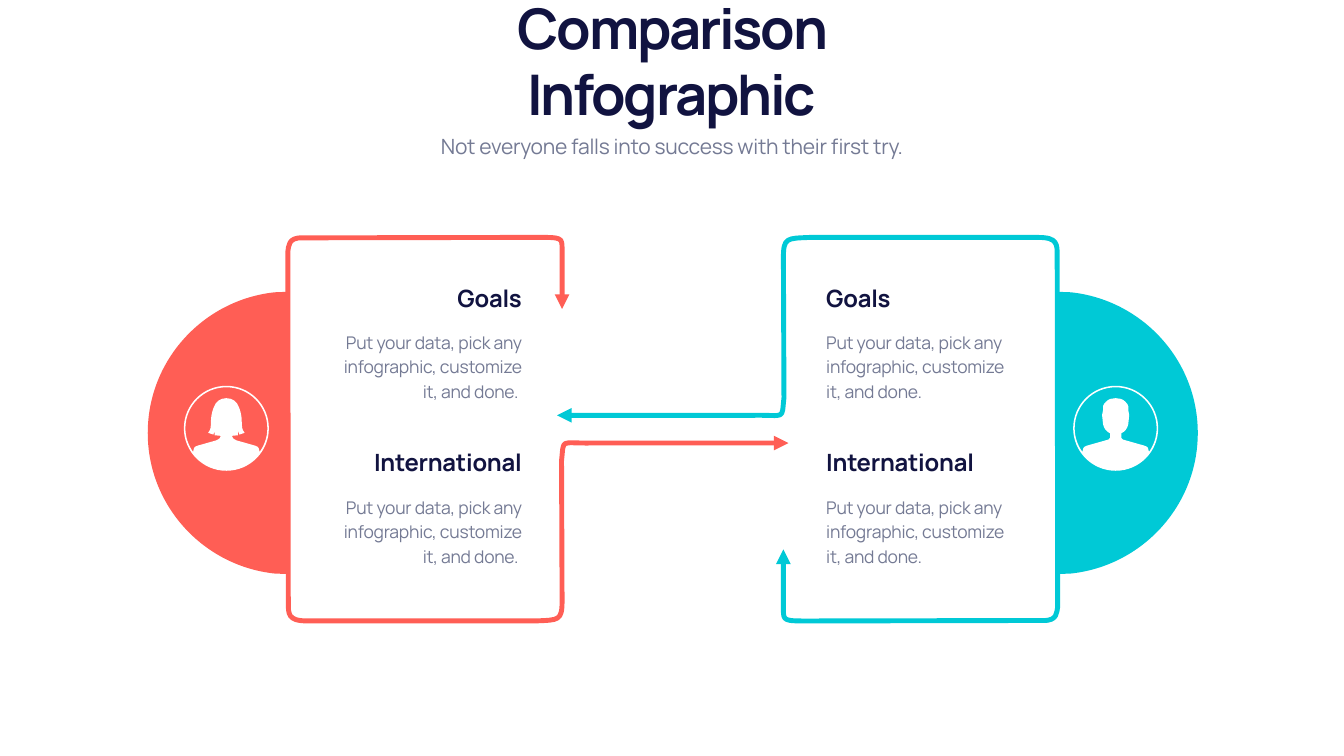
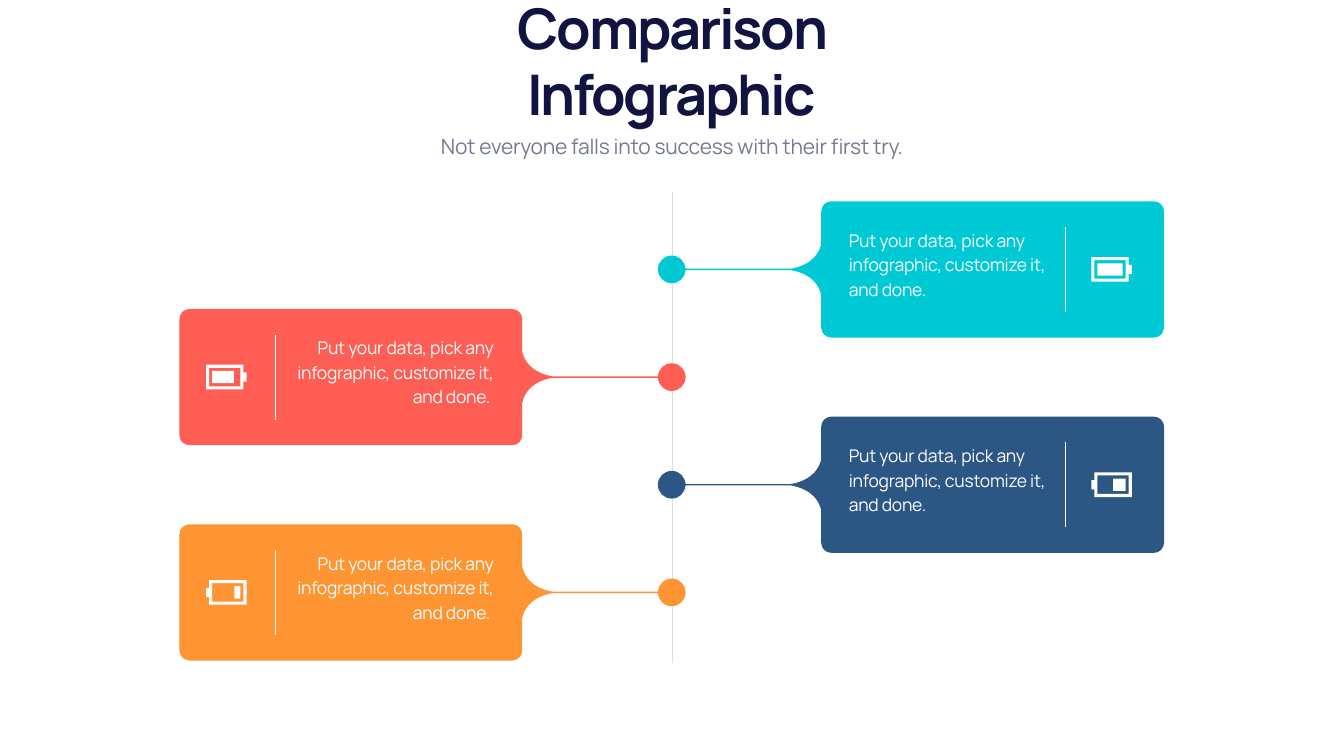
from pptx import Presentation
from pptx.dml.color import RGBColor
from pptx.enum import shapes, text
from pptx.oxml.ns import qn
from pptx.util import Pt
from lxml import etree

NAVY = RGBColor(0x11, 0x13, 0x40)
GREY = RGBColor(0x74, 0x7A, 0x94)
PALE = RGBColor(0xDC, 0xDF, 0xE1)
WHITE = RGBColor(0xFF, 0xFF, 0xFF)
CORAL = RGBColor(0xFF, 0x5E, 0x55)
TEAL = RGBColor(0x00, 0xC9, 0xD6)
BLUE = RGBColor(0x2C, 0x56, 0x83)
ORANGE = RGBColor(0xFF, 0x94, 0x33)

FONT = "Manrope"
LEFT, CENTER, RIGHT = text.PP_ALIGN.LEFT, text.PP_ALIGN.CENTER, text.PP_ALIGN.RIGHT
BLURB = "Put your data, pick any infographic, customize it, and done. "

SIDES_SUM = 1921.7
BRACKET_SUM = 1226.2
CARDS_SUM = 1918.8
SPINE_X = 959.6
FIRST_ROW, ROW_STEP = 384.9, 153.8

BRACKET = [
    (802.8, 441.4), (802.8, 356.4), (802.8, 339.1, 802.8, 339.1, 766, 339.1),
    (432, 339.8), (411.1, 339.1, 412.6, 352, 411.1, 359.3),
    (411.8, 860.4), (411.8, 877, 411.1, 887, 438.5, 887),
    (765.4, 887), (797.8, 885.6, 802.8, 887, 802.8, 858.2),
    (802, 658), (805.7, 625.7, 799.2, 633.6, 843.8, 632.9), (1126.1, 632.9),
]
HALF_DISC = [
    (411.1, 416.9), (411.1, 820.1), (392.4, 819.4),
    (290.9, 808.6, 211, 722.9, 211, 618.5),
    (211, 514.1, 290.9, 428.4, 392.4, 417.6),
]
RING = [
    (0, -60.7), (33.5, -60.7, 60.7, -33.5, 60.7, 0), (60.7, 33.5, 33.5, 60.7, 0, 60.7),
]
RING_INSIDE = [
    (0, -58.5), (32.3, -58.5, 58.5, -32.3, 58.5, 0), (58.5, 12.6, 54.4, 24.3, 47.5, 33.8),
    (46.8, 29, 46.8, 26.6, 41, 24.8), (14.4, 17.3),
]
WOMAN = RING_INSIDE + [
    (9.4, 15, 8, 13, 8, 10.8), (16.6, 10), (16.6, 4), (18.7, 9), (26, 6.5),
    (18, -4, 26, -9, 18, -30), (15, -38, 9, -43, 0, -43),
]
MAN = RING_INSIDE + [
    (11, 16.6, 8.6, 15.8, 8, 13.7), (8, 7.2), (13, 5, 17, 0, 18, -5.8),
    (19.4, -19), (18, -25.9), (18.7, -29, 18.7, -34, 13.7, -38),
    (10, -42, 5, -43, 0, -43),
]
CARD_TOP = [
    (939.6, 0), (939.6, -11, 948.5, -19.8, 959.4, -19.8),
    (970, -19.8, 978, -12, 979.2, -1), (1129.7, -1),
    (1162, -6.8, 1171, -26, 1172.9, -37), (1172.9, -82.9),
    (1172.9, -90.8, 1179.4, -97.3, 1187.3, -97.3), (1648.1, -97.3),
    (1656, -97.3, 1662.5, -90.8, 1662.5, -82.9), (1662.5, 0),
]
BATTERY_CASE = [
    (0, -17.6), (53.3, -17.6), (53.3, -6.6), (57.6, -6.6),
    (57.6, 6.6), (53.3, 6.6), (53.3, 17.6), (0, 17.6),
]


def pairs(step):
    return list(zip(step[::2], step[1::2]))


def remap(steps, move):
    return [sum((move(x, y) for x, y in pairs(step)), ()) for step in steps]


def mirror(steps, x_sum=None, y_sum=None):
    return remap(steps, lambda x, y: (x if x_sum is None else x_sum - x,
                                      y if y_sum is None else y_sum - y))


def shift(steps, dx, dy):
    return remap(steps, lambda x, y: (x + dx, y + dy))


def with_reflection(steps, **axis):
    back = []
    for before, step in zip(steps[-2::-1], steps[:0:-1]):
        inner = pairs(step)[-2::-1]
        back.append(sum(inner, ()) + before[-2:])
    return steps + mirror(back, **axis)


def box(left, right, half_height):
    return [(left, -half_height), (right, -half_height),
            (right, half_height), (left, half_height)]


def bend(outline, contours):
    segments = iter(list(outline._element.iter(qn("a:lnTo"))))
    for contour in contours:
        for step in contour[1:]:
            first = next(segments)
            if len(step) == 6:
                first.tag = qn("a:cubicBezTo")
                for _ in range(2):
                    following = next(segments)
                    first.append(following[0])
                    following.getparent().remove(following)


def draw_outline(slide, contours, closed=True):
    builder = None
    for contour in contours:
        points = [(Pt(x), Pt(y)) for step in contour for x, y in pairs(step)]
        if builder is None:
            builder = slide.shapes.build_freeform(*points[0], scale=1.0)
        else:
            builder.move_to(*points[0])
        builder.add_line_segments(points[1:], close=closed)
    outline = builder.convert_to_shape()
    outline.shadow.inherit = False
    bend(outline, contours)
    return outline


def draw_area(slide, contours, color):
    area = draw_outline(slide, contours)
    area.fill.solid()
    area.fill.fore_color.rgb = color
    area.line.fill.background()


def draw_arrow_path(slide, steps, color):
    arrow = draw_outline(slide, [steps], closed=False)
    arrow.fill.background()
    arrow.line.color.rgb = color
    arrow.line.width = Pt(7)
    ln = arrow.line._get_or_add_ln()
    for end in ("a:headEnd", "a:tailEnd"):
        etree.SubElement(ln, qn(end), type="triangle")


def style_text(frame, wording, size, color, leading, align, bold=False, tracking=-0.3):
    frame.text = wording
    paragraph = frame.paragraphs[0]
    paragraph.alignment = align
    paragraph.line_spacing = Pt(leading)
    paragraph.space_before = Pt(0)
    for run in paragraph.runs:
        run.font.name = FONT
        run.font.size = Pt(size)
        run.font.bold = bold
        run.font.color.rgb = color
        run._r.get_or_add_rPr().set("spc", str(round(tracking * 100)))


def add_text(slide, left, top, width, height, wording, size, color, leading, align,
             bold=False, wrap=True):
    frame = slide.shapes.add_textbox(Pt(left), Pt(top), Pt(width), Pt(height)).text_frame
    frame.word_wrap = wrap
    frame.auto_size = text.MSO_AUTO_SIZE.SHAPE_TO_FIT_TEXT
    style_text(frame, wording, size, color, leading, align, bold)


def add_heading(slide):
    title = slide.shapes.title
    title.left, title.top, title.width, title.height = Pt(522.7), Pt(82), Pt(873.4), Pt(102.2)
    frame = title.text_frame
    frame.word_wrap = True
    frame.auto_size = text.MSO_AUTO_SIZE.NONE
    frame.vertical_anchor = text.MSO_ANCHOR.BOTTOM
    style_text(frame, "Comparison Infographic", 80, NAVY, 94, CENTER, True, -3.3)
    add_text(slide, 610.6, 181.6, 698.4, 46.1,
             " Not everyone falls into success with their first try. ",
             30, GREY, 42, CENTER, wrap=False)


def add_avatar(slide, x, y, inside):
    contours = [shift(with_reflection(half, x_sum=0), x, y) for half in (inside, RING)]
    draw_area(slide, contours, WHITE)


def add_goals(slide, left, align):
    for heading, top, blurb_top in (("Goals", 407.5, 465.1), ("International", 642.2, 701.3)):
        add_text(slide, left, top, 283.7, 42.5, heading, 34, NAVY, 35, align, bold=True)
        add_text(slide, left, blurb_top, 283.7, 110.2, BLURB, 25, GREY, 35, align)


def add_battery(slide, x, y, level, flipped):
    contours = [BATTERY_CASE, box(4.3, 49, 13.2), box(8.6, 8.6 + level, 8.8)]
    if flipped:
        contours = [mirror(contour, x_sum=57.6) for contour in contours]
    draw_area(slide, [shift(contour, x, y) for contour in contours], WHITE)


def add_card(slide, row, color, level, flipped):
    y = FIRST_ROW + row * ROW_STEP
    card = shift(with_reflection(CARD_TOP, y_sum=0), 0, y)
    on_left = row % 2 == 1
    if on_left:
        card = mirror(card, x_sum=CARDS_SUM)
        battery_x, divider_x, text_x, align = 294.5, 392.6, 410.4, RIGHT
    else:
        battery_x, divider_x, text_x, align = 1558.8, 1521.4, 1205.3, LEFT
    draw_area(slide, [card], color)
    add_battery(slide, battery_x, y, level, flipped)
    draw_area(slide, [shift(box(0, 1.8, 60.8), divider_x, y)], WHITE)
    add_text(slide, text_x, y - 65.2, 301.7, 110.2, BLURB, 25, WHITE, 35, align)


def add_spine(slide):
    spine = slide.shapes.add_connector(shapes.MSO_CONNECTOR.STRAIGHT,
                                       Pt(SPINE_X), Pt(274.3), Pt(SPINE_X), Pt(947.5))
    spine.line.color.rgb = PALE
    spine.line.width = Pt(1)
    etree.SubElement(spine._element.spPr, qn("a:effectLst"))


def build_exchange(slide):
    draw_arrow_path(slide, BRACKET, CORAL)
    draw_arrow_path(slide, mirror(BRACKET, SIDES_SUM, BRACKET_SUM), TEAL)
    draw_area(slide, [HALF_DISC], CORAL)
    draw_area(slide, [mirror(HALF_DISC, x_sum=SIDES_SUM)], TEAL)
    add_avatar(slide, 323.3, 611.8, WOMAN)
    add_avatar(slide, 1593.4, 611.8, MAN)
    add_goals(slide, 468.7, RIGHT)
    add_goals(slide, 1172.9, LEFT)
    add_heading(slide)


def build_timeline(slide):
    add_spine(slide)
    cards = [(TEAL, 36, False), (CORAL, 31, False), (BLUE, 18, True), (ORANGE, 8.6, True)]
    for row, (color, level, flipped) in enumerate(cards):
        add_card(slide, row, color, level, flipped)
    add_heading(slide)


def main():
    deck = Presentation()
    deck.slide_width, deck.slide_height = Pt(1919.52), Pt(1080)
    title_only = deck.slide_layouts[5]
    for build in (build_exchange, build_timeline):
        build(deck.slides.add_slide(title_only))
    deck.save("out.pptx")


main()
